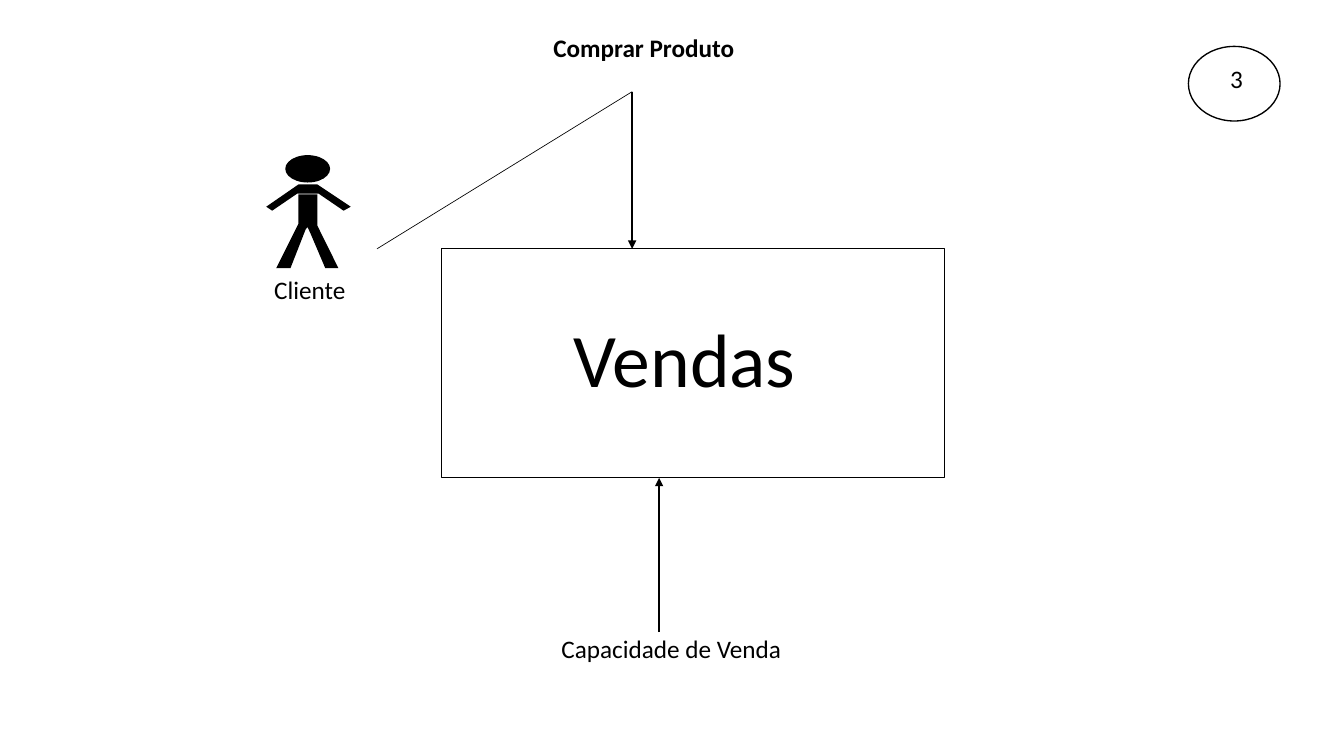
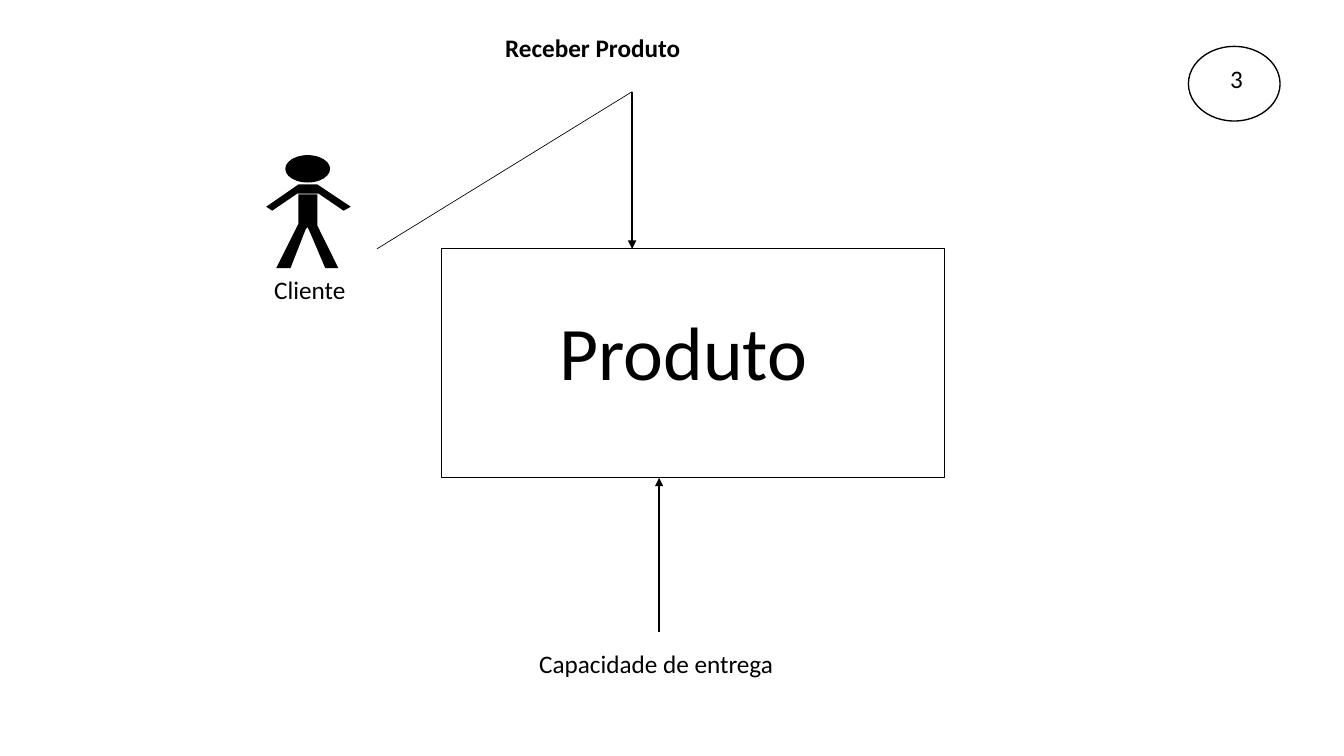
from lxml import etree
from pptx import Presentation
from pptx.dml.color import RGBColor
from pptx.enum import shapes, text
from pptx.oxml import ns
from pptx.util import Cm, Pt

COLORS = {"ink": "000000", "paper": "FFFFFF"}
FONT = "Calibri"
LABEL_SIZE = 18
NAME_SIZE = 54
OUTLINE = 0.96

ARMS = [(6.71, 5.21), (7.52, 4.65), (8, 4.65), (8.84, 5.21),
        (8.66, 5.31), (8.03, 4.88), (7.49, 4.88), (6.86, 5.31)]
TORSO_AND_LEGS = [(7.52, 4.9), (8, 4.9), (8, 5.69), (8.53, 6.76),
                  (8.2, 6.76), (7.82, 5.87), (7.75, 5.72), (7.7, 5.79),
                  (7.32, 6.76), (6.96, 6.76), (7.52, 5.64)]

BOX_LEFT, BOX_TOP, BOX_WIDTH, BOX_HEIGHT = 11.13, 6.27, 12.67, 5.77
EVENT_X, EVENT_Y = 15.93, 2.31
CAPACITY_X, CAPACITY_Y = 16.61, 15.93


def color(name):
    return RGBColor.from_string(COLORS[name])


class Diagram:
    def __init__(self):
        self.deck = Presentation()
        self.deck.slide_width = Cm(33.87)
        self.deck.slide_height = Cm(19.05)
        self.page = None

    def new_page(self):
        self.page = self.deck.slides.add_slide(self.deck.slide_layouts[6])
        self.page.background.fill.solid()
        self.page.background.fill.fore_color.rgb = color("paper")

    def put_text(self, shape, words, size=LABEL_SIZE, bold=False,
                 align=text.PP_ALIGN.LEFT, anchor=text.MSO_ANCHOR.TOP,
                 margins=(0, 0, 0, 0)):
        """Fill a shape with one styled paragraph; margins are left, top, right, bottom."""
        frame = shape.text_frame
        frame.text = words
        frame.word_wrap = True
        frame.vertical_anchor = anchor
        (frame.margin_left, frame.margin_top,
         frame.margin_right, frame.margin_bottom) = map(Cm, margins)
        para = frame.paragraphs[0]
        para.alignment = align
        for span in para.runs:
            span.font.name = FONT
            span.font.size = Pt(size)
            span.font.bold = bold
            span.font.color.rgb = color("ink")

    def label(self, words, left, top, width, **style):
        box = self.page.shapes.add_textbox(
            Cm(left), Cm(top), Cm(width), Cm(0.84))
        self.put_text(box, words, **style)

    def make_solid(self, shape):
        shape.shadow.inherit = False
        shape.fill.solid()
        shape.fill.fore_color.rgb = color("ink")
        shape.line.fill.background()

    def outlined(self, kind, left, top, width, height):
        shape = self.page.shapes.add_shape(
            kind, Cm(left), Cm(top), Cm(width), Cm(height))
        shape.shadow.inherit = False
        shape.fill.background()
        shape.line.color.rgb = color("ink")
        shape.line.width = Pt(OUTLINE)
        return shape

    def line(self, start, end, width, arrow=False):
        link = self.page.shapes.add_connector(
            shapes.MSO_CONNECTOR.STRAIGHT, *map(Cm, start + end))
        link.line.color.rgb = color("ink")
        link.line.width = Pt(width)
        properties = link.element.spPr
        if arrow:
            etree.SubElement(properties.find(ns.qn("a:ln")),
                             ns.qn("a:tailEnd"), type="triangle")
        etree.SubElement(properties, ns.qn("a:effectLst"))

    def polygon(self, points):
        first, *rest = [(Cm(x), Cm(y)) for x, y in points]
        builder = self.page.shapes.build_freeform(*first)
        builder.add_line_segments(rest, close=True)
        self.make_solid(builder.convert_to_shape())

    def customer(self):
        head = self.page.shapes.add_shape(
            shapes.MSO_SHAPE.OVAL, Cm(7.19), Cm(3.91), Cm(1.13), Cm(0.69))
        self.make_solid(head)
        self.polygon(ARMS)
        self.polygon(TORSO_AND_LEGS)
        self.label("Cliente", 6.91, 6.92, 2.2)

    def process(self, name, left, top):
        """Draw the central box with its name inset from the top left corner."""
        box = self.outlined(shapes.MSO_SHAPE.RECTANGLE,
                            BOX_LEFT, BOX_TOP, BOX_WIDTH, BOX_HEIGHT)
        self.put_text(box, name, size=NAME_SIZE, margins=(left, top, 0, 0))

    def flows(self):
        corner = (EVENT_X, EVENT_Y)
        self.line((9.5, BOX_TOP), corner, 0.48)
        self.line(corner, (EVENT_X, BOX_TOP), 1.25, arrow=True)
        self.line((CAPACITY_X, CAPACITY_Y),
                  (CAPACITY_X, BOX_TOP + BOX_HEIGHT), 0.9, arrow=True)

    def number(self, words):
        oval = self.outlined(shapes.MSO_SHAPE.OVAL, 29.95, 1.17, 2.31, 1.88)
        self.put_text(oval, words, align=text.PP_ALIGN.CENTER,
                      anchor=text.MSO_ANCHOR.MIDDLE,
                      margins=(0.12, 0, 0, 0.25))

    def event_page(self, event, event_width, event_align,
                   process, process_inset, capacity, capacity_at):
        self.new_page()
        self.customer()
        self.label(event, 12.73, 0.81, event_width,
                   bold=True, align=event_align)
        self.process(process, *process_inset)
        self.flows()
        self.label(capacity, *capacity_at, 8)
        self.number("3")


def main():
    diagram = Diagram()
    diagram.event_page("Comprar Produto", 6.99, text.PP_ALIGN.CENTER,
                       "Vendas", (3.33, 1.6),
                       "Capacidade de Venda", (14.15, 15.95))
    diagram.event_page("Receber Produto", 6.45, text.PP_ALIGN.LEFT,
                       "Produto", (2.97, 1.42),
                       "Capacidade de entrega", (13.59, 16.33))
    diagram.deck.save("out.pptx")


if __name__ == "__main__":
    main()
